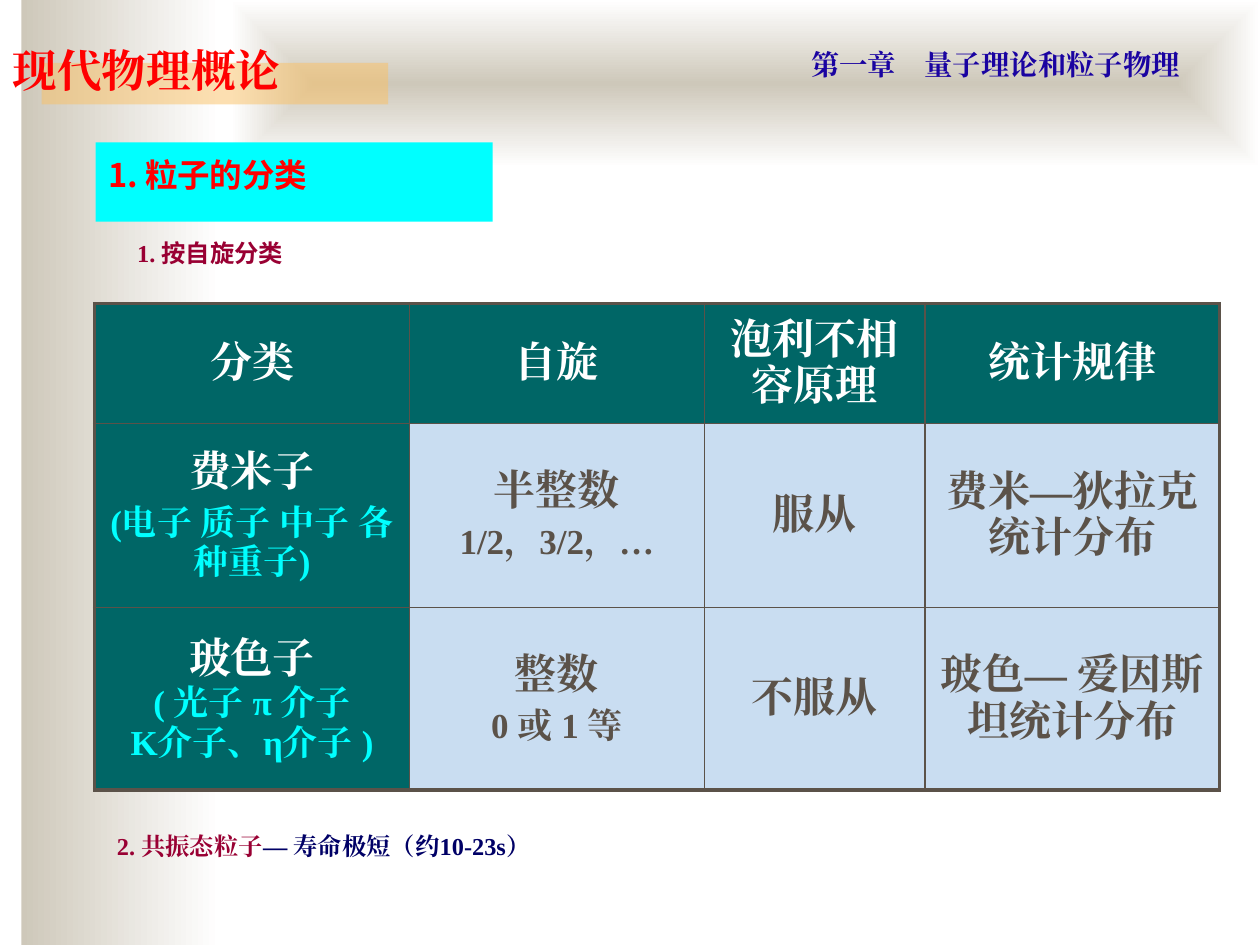
import pptx
import pptx.dml.color
import pptx.enum.shapes
import pptx.enum.text
import pptx.oxml
import pptx.oxml.ns
import pptx.util
from pptx.util import Inches

COLORS = {
    "white": "FFFFFF", "sand": "CEC8BA", "amber": "FAC164", "red": "FF0000",
    "violet": "1A03A1", "cyan": "00FFFF", "teal": "006666", "pale": "C9DDF1",
    "brown": "5B5249", "crimson": "990033", "navy": "000066",
}
SERIF, SANS = "Times New Roman", "Noto Sans CJK SC"
NAMESPACE = pptx.oxml.ns.nsdecls("a")
RECTANGLE = pptx.enum.shapes.MSO_SHAPE.RECTANGLE
rgb = {name: pptx.dml.color.RGBColor.from_string(value) for name, value in COLORS.items()}


def add_run(paragraph, text, size, color, font=SERIF, raised=False):
    run = paragraph.add_run()
    run.text = text
    formats = {"size": pptx.util.Pt(size), "bold": True, "name": font}
    for attribute, value in formats.items():
        setattr(run.font, attribute, value)
    run.font.color.rgb = rgb[color]
    properties = run.font._element
    properties.set("lang", "zh-CN")
    if raised:
        properties.set("baseline", "30000")
    properties.append(pptx.oxml.parse_xml(f'<a:ea {NAMESPACE} typeface="{font}"/>'))


def add_rectangle(left, top, width, height, color):
    shape = slide.shapes.add_shape(
        RECTANGLE, Inches(left), Inches(top), Inches(width), Inches(height))
    shape.shadow.inherit = False
    shape.line.fill.background()
    shape.fill.solid()
    shape.fill.fore_color.rgb = rgb[color]
    return shape


presentation = pptx.Presentation()
presentation.slide_width = Inches(10)
presentation.slide_height = Inches(7.5)
slide = presentation.slides.add_slide(presentation.slide_layouts[6])

# Background bands fading from sand to white
side_band = add_rectangle(0.17, 0, 1.58, 7.5, "sand")
top_band = add_rectangle(1.83, 0, 8.17, 1.33, "sand")
for band in (side_band, top_band):
    band.fill.gradient()
    band.fill.gradient_angle = 0
    for stop, position, color in zip(band.fill.gradient_stops, (0, 1), ("sand", "white")):
        stop.position = position
        stop.color.rgb = rgb[color]
linear = top_band._element.spPr.find(".//" + pptx.oxml.ns.qn("a:lin"))
linear.getparent().replace(linear, pptx.oxml.parse_xml(
    f'<a:path {NAMESPACE} path="shape">'
    '<a:fillToRect l="50000" t="50000" r="50000" b="50000"/></a:path>'))

# Half transparent bar behind the course title
title_bar = add_rectangle(0.33, 0.5, 2.75, 0.33, "amber")
title_bar_color = title_bar._element.spPr.find(".//" + pptx.oxml.ns.qn("a:srgbClr"))
title_bar_color.append(pptx.oxml.parse_xml(f'<a:alpha {NAMESPACE} val="50000"/>'))

# Section heading
heading = add_rectangle(0.76, 1.13, 3.15, 0.63, "cyan")
heading.text_frame.vertical_anchor = pptx.enum.text.MSO_ANCHOR.TOP
paragraph = heading.text_frame.paragraphs[0]
paragraph.alignment = pptx.enum.text.PP_ALIGN.LEFT
add_run(paragraph, "1. 粒子的分类", 32, "red", SANS, raised=True)

# Free text: position, wrap, line spacing, runs (text, size, colour, font)
text_boxes = [
    ((0, 0.36, 2.72, 0.49), True, 0.8, [("现代物理概论", 44, "red", SERIF)]),
    ((6.34, 0.28, 3.66, 0.42), True, 1.0,
     [("第一章　量子理论和粒子物理", 28, "violet", SERIF)]),
    ((0.99, 1.8, 2.23, 0.5), False, 1.0,
     [("1. ", 24, "crimson", SERIF), ("按自旋分类", 24, "crimson", SANS)]),
    ((0.83, 6.51, 8.08, 0.5), True, 1.0,
     [("2. 共振态粒子", 24, "crimson", SERIF),
      ("— 寿命极短（约10-23s）", 24, "navy", SERIF)]),
]
for position, wrap, spacing, runs in text_boxes:
    box = slide.shapes.add_textbox(*(Inches(value) for value in position))
    box.text_frame.word_wrap = wrap
    paragraph = box.text_frame.paragraphs[0]
    paragraph.line_spacing = spacing
    for text, size, color, font in runs:
        add_run(paragraph, text, size, color, font, raised=True)

# Particle table: the first line of a cell is 24 pt, the others 20 pt
rows = [
    [["分类"], ["自旋"], ["泡利不相容原理"], ["统计规律"]],
    [["费米子", "(电子 质子 中子 各种重子)"], ["半整数", "1/2，3/2，…"],
     ["服从"], ["费米—狄拉克统计分布"]],
    [["玻色子", "( 光子 π 介子", "K介子、η介子 )"], ["整数", "0 或 1 等"],
     ["不服从"], ["玻色— 爱因斯坦统计分布"]],
]
column_widths = [2.5, 2.34, 1.75, 2.34]
row_heights = [0.95, 1.46, 1.45]
graphic = slide.shapes.add_table(
    3, 4, Inches(0.75), Inches(2.41), Inches(8.92), Inches(3.86))
table = graphic.table
for column, width in zip(table.columns, column_widths):
    column.width = Inches(width)
for row, height in zip(table.rows, row_heights):
    row.height = Inches(height)

for row_index, row in enumerate(rows):
    for column_index, lines in enumerate(row):
        cell = table.cell(row_index, column_index)
        is_header = row_index == 0 or column_index == 0
        cell.vertical_anchor = pptx.enum.text.MSO_ANCHOR.MIDDLE

        # Thick borders outside, thin ones inside
        outer_sides = {"lnL": column_index == 0, "lnR": column_index == 3,
                       "lnT": row_index == 0, "lnB": row_index == 2}
        for side, is_outer in outer_sides.items():
            width = pptx.util.Pt(2.25 if is_outer else 1)
            color = COLORS["brown"]
            cell._tc.get_or_add_tcPr().append(pptx.oxml.parse_xml(
                f'<a:{side} {NAMESPACE} w="{width}"><a:solidFill>'
                f'<a:srgbClr val="{color}"/></a:solidFill></a:{side}>'))
        cell.fill.solid()
        cell.fill.fore_color.rgb = rgb["teal" if is_header else "pale"]

        for line_index, line in enumerate(lines):
            paragraph = cell.text_frame.paragraphs[0]
            if line_index:
                paragraph = cell.text_frame.add_paragraph()
                paragraph.space_before = pptx.util.Pt(5)
                if len(lines) == 3:
                    paragraph.line_spacing = 0.8
            paragraph.alignment = pptx.enum.text.PP_ALIGN.CENTER
            if is_header:
                color = "cyan" if line_index else "white"
            else:
                color = "brown"
            add_run(paragraph, line, 20 if line_index else 24, color)

presentation.save("out.pptx")
